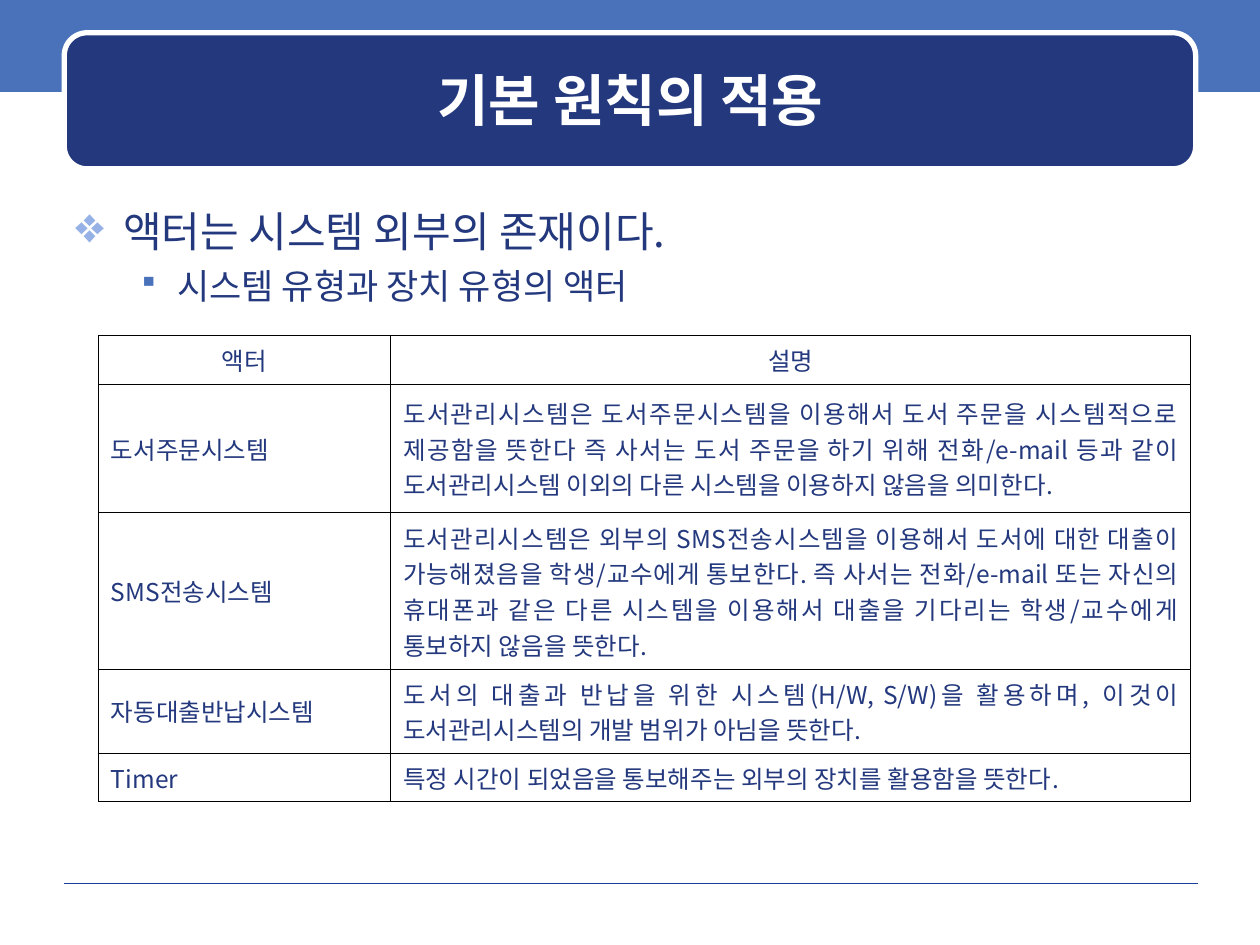
from dataclasses import dataclass

from lxml import etree
from pptx import Presentation
from pptx.dml.color import RGBColor
from pptx.enum import shapes, text
from pptx.oxml import ns
from pptx.util import Inches, Pt


@dataclass(frozen=True)
class Theme:
    font: str = "Noto Sans CJK KR"
    navy: str = "23387D"
    band: str = "4972BB"
    bullet: str = "96B1E6"
    rule: str = "1A3D97"
    white: str = "FFFFFF"
    black: str = "000000"
    title_size: int = 32
    topic_size: int = 24
    subtopic_size: int = 20
    table_size: int = 14


THEME = Theme()
TITLE = "기본 원칙의 적용"
# text, size, bullet, bullet colour, bullet percent, left margin, hanging indent, space before
TOPICS = [
    ("액터는 시스템 외부의 존재이다.", THEME.topic_size, "❖", THEME.bullet, 120, 0.38, 0.38, 0),
    ("시스템 유형과 장치 유형의 액터", THEME.subtopic_size, "▪", THEME.band, 80, 0.81, 0.31, 5),
]
COLUMN_WIDTHS = [2.32, 6.35]
ROW_HEIGHTS = [0.39, 1.02, 1.24, 0.67, 0.38]
ACTORS = [
    ("액터", "설명"),
    ("도서주문시스템",
     "도서관리시스템은 도서주문시스템을 이용해서 도서 주문을 시스템적으로 제공함을 뜻한다 "
     "즉 사서는 도서 주문을 하기 위해 전화/e-mail 등과 같이 도서관리시스템 이외의 다른 "
     "시스템을 이용하지 않음을 의미한다."),
    ("SMS전송시스템",
     "도서관리시스템은 외부의 SMS전송시스템을 이용해서 도서에 대한 대출이 가능해졌음을 "
     "학생/교수에게 통보한다. 즉 사서는 전화/e-mail 또는 자신의 휴대폰과 같은 다른 시스템을 "
     "이용해서 대출을 기다리는 학생/교수에게 통보하지 않음을 뜻한다."),
    ("자동대출반납시스템",
     "도서의 대출과 반납을 위한 시스템(H/W, S/W)을 활용하며, 이것이 도서관리시스템의 "
     "개발 범위가 아님을 뜻한다."),
    ("Timer", "특정 시간이 되었음을 통보해주는 외부의 장치를 활용함을 뜻한다."),
]


def rgb(color):
    return RGBColor.from_string(color)


def add_element(parent, tag, **attributes):
    return etree.SubElement(parent, ns.qn(tag), attributes)


def style_paragraph(paragraph, size, color, align=None, bold=None):
    """Set the font for both Latin and Korean letters, without pair kerning."""
    paragraph.alignment = align
    font = paragraph.font
    font.name, font.size, font.bold = THEME.font, Pt(size), bold
    font.color.rgb = rgb(color)
    defaults = paragraph._p.get_or_add_pPr().find(ns.qn("a:defRPr"))
    defaults.set("kern", "0")
    add_element(defaults, "a:ea", typeface=THEME.font)


def add_panel(slide, kind, left, top, width, height, fill):
    panel = slide.shapes.add_shape(
        kind, Inches(left), Inches(top), Inches(width), Inches(height))
    panel.shadow.inherit = False
    panel.fill.solid()
    panel.fill.fore_color.rgb = rgb(fill)
    panel.line.fill.background()
    return panel


def add_text_frame(slide, left, top, width, height):
    frame = slide.shapes.add_textbox(
        Inches(left), Inches(top), Inches(width), Inches(height)).text_frame
    frame.word_wrap = True
    return frame


def add_footer_rule(slide):
    rule = slide.shapes.add_connector(
        shapes.MSO_CONNECTOR.STRAIGHT,
        Inches(0.51), Inches(7.01), Inches(9.51), Inches(7.01))
    rule.line.color.rgb = rgb(THEME.rule)
    rule.line.width = Pt(0.25)
    add_element(rule._element.spPr, "a:effectLst")


def add_title(slide):
    add_panel(slide, shapes.MSO_SHAPE.RECTANGLE, 0, -0.03, 10, 0.76, THEME.band)
    plate = add_panel(slide, shapes.MSO_SHAPE.ROUNDED_RECTANGLE,
                      0.51, 0.26, 8.98, 1.08, THEME.navy)
    plate.line.color.rgb = rgb(THEME.white)
    plate.line.width = Pt(3)
    frame = add_text_frame(slide, 0.6, 0.35, 8.81, 0.88)
    frame.vertical_anchor = text.MSO_ANCHOR.MIDDLE
    heading = frame.paragraphs[0]
    heading.text = TITLE
    style_paragraph(heading, THEME.title_size, THEME.white, text.PP_ALIGN.CENTER, True)


def add_topics(slide):
    frame = add_text_frame(slide, 0.5, 1.58, 9, 5.33)
    for level, (words, size, bullet, color, percent, margin, hang, before) in enumerate(TOPICS):
        topic = frame.add_paragraph() if level else frame.paragraphs[0]
        topic.text, topic.level = words, level
        topic.space_before = Pt(before)
        properties = topic._p.get_or_add_pPr()
        properties.set("marL", str(Inches(margin)))
        properties.set("indent", str(-Inches(hang)))
        add_element(add_element(properties, "a:buClr"), "a:srgbClr", val=color)
        add_element(properties, "a:buSzPct", val=str(percent * 1000))
        add_element(properties, "a:buChar", char=bullet)
        style_paragraph(topic, size, THEME.navy)


def set_borders(cell):
    properties = cell._tc.get_or_add_tcPr()
    for position, side in enumerate(("a:lnL", "a:lnR", "a:lnT", "a:lnB")):
        border = add_element(properties, side, w=str(Pt(0.45)))
        add_element(add_element(border, "a:solidFill"), "a:srgbClr", val=THEME.black)
        properties.insert(position, border)


def add_actor_table(slide):
    table = slide.shapes.add_table(
        len(ROW_HEIGHTS), len(COLUMN_WIDTHS), Inches(0.78), Inches(2.66),
        Inches(sum(COLUMN_WIDTHS)), Inches(sum(ROW_HEIGHTS))).table
    table.first_row = table.horz_banding = False
    for column, width in zip(table.columns, COLUMN_WIDTHS):
        column.width = Inches(width)
    for index, (row, height) in enumerate(zip(table.rows, ROW_HEIGHTS)):
        row.height = Inches(height)
        align = text.PP_ALIGN.JUSTIFY if index else text.PP_ALIGN.CENTER
        for cell, words in zip(row.cells, ACTORS[index]):
            cell.text = words
            cell.vertical_anchor = text.MSO_ANCHOR.MIDDLE
            cell.fill.background()
            set_borders(cell)
            style_paragraph(cell.text_frame.paragraphs[0],
                            THEME.table_size, THEME.navy, align)


def main():
    deck = Presentation()
    deck.slide_width, deck.slide_height = Inches(10), Inches(7.5)
    slide = deck.slides.add_slide(deck.slide_layouts[6])
    add_title(slide)
    add_footer_rule(slide)
    add_topics(slide)
    add_actor_table(slide)
    deck.save("out.pptx")


if __name__ == "__main__":
    main()
